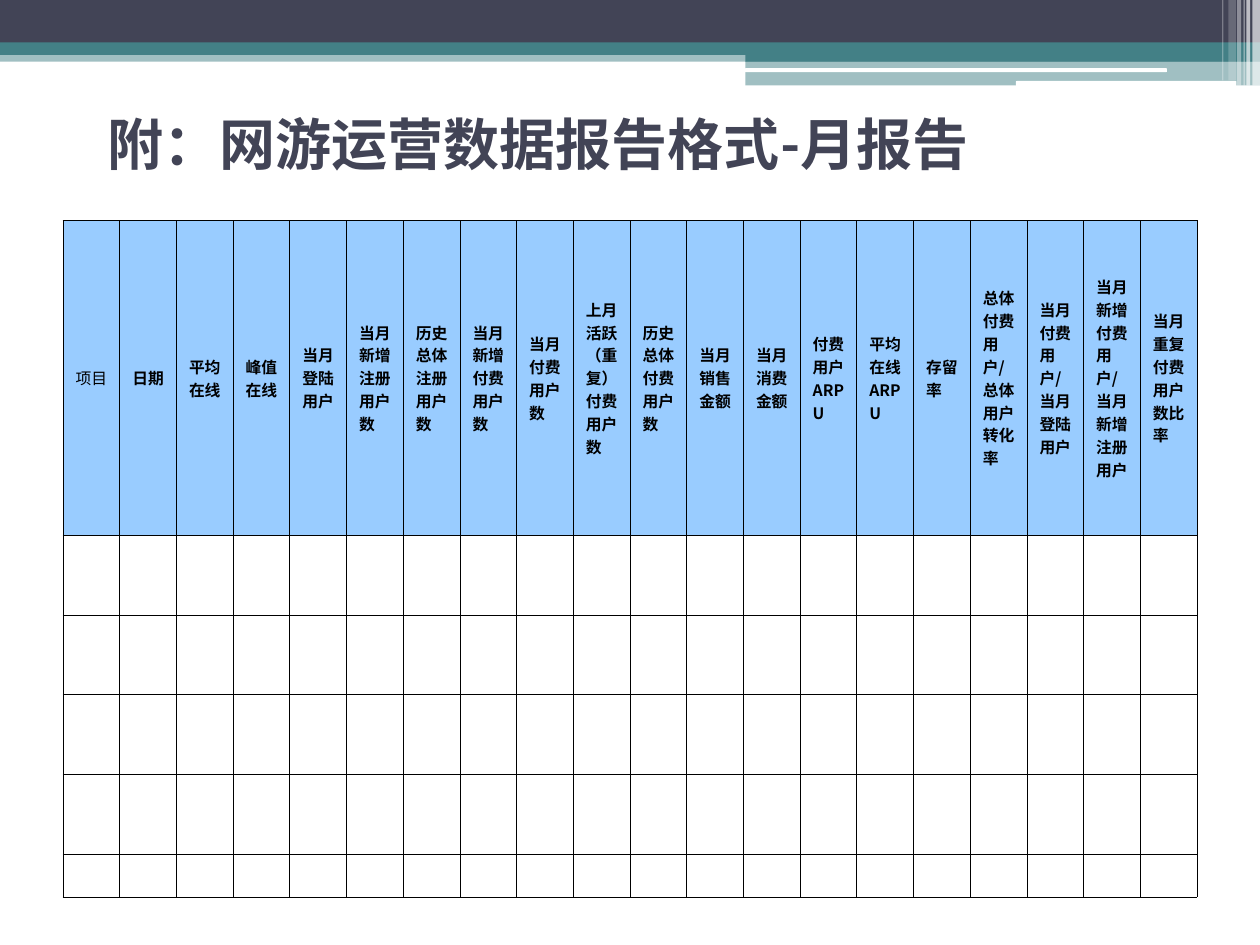
from lxml import etree
from pptx import Presentation
from pptx.dml.color import RGBColor
from pptx.enum.shapes import MSO_SHAPE
from pptx.enum.text import MSO_ANCHOR, PP_ALIGN
from pptx.oxml.ns import qn
from pptx.util import Pt

RECT, ROUND = MSO_SHAPE.RECTANGLE, MSO_SHAPE.ROUNDED_RECTANGLE
MIDDLE, LEFT = MSO_ANCHOR.MIDDLE, PP_ALIGN.LEFT
NAVY = RGBColor(0x42, 0x44, 0x56)
TEAL = RGBColor(0x43, 0x80, 0x86)
WHITE = RGBColor(0xFF, 0xFF, 0xFF)
BLACK = RGBColor(0, 0, 0)
SKY = RGBColor(0x99, 0xCC, 0xFF)
CJK = "Noto Sans CJK SC"

# Content
TITLE = "附：网游运营数据报告格式-月报告"
HEADERS = [
    "项目", "日期", "平均在线", "峰值在线", "当月登陆用户",
    "当月新增注册用户数", "历史总体注册用户数", "当月新增付费用户数",
    "当月付费用户数", "上月活跃（重复）付费用户数", "历史总体付费用户数",
    "当月销售金额", "当月消费金额", "付费用户ARPU", "平均在线ARPU", "存留率",
    "总体付费用户/总体用户转化率", "当月付费用户/当月登陆用户",
    "当月新增付费用户/当月新增注册用户", "当月重复付费用户数比率",
]
ROW_HEIGHTS = [180, 45.5, 45.5, 45.5, 45.5, 21.6]
COL_WIDTH = 32.4

# Banner: shape, left, top, width, height, colour, opacity in percent
BANNER = [
    (RECT, 0, 28.8, 720, 6.5, TEAL, 50),
    (RECT, 0, 0, 720, 24.5, NAVY, 100),
    (RECT, 0, 24.2, 720, 7.2, TEAL, 100),
    (RECT, 426, 28, 294, 7.2, TEAL, 100),
    (RECT, 426, 34.9, 294, 14, TEAL, 50),
    (ROUND, 425.6, 39, 241.2, 2.2, WHITE, 100),
    (ROUND, 580.5, 46.3, 126, 2.9, WHITE, 100),
]
# Vertical stripes: left, width, height, opacity in percent
STRIPES = [
    (715.6, 4.4, 49, 65), (712.2, 2.2, 49, 65), (710.6, 0.7, 49, 60),
    (707, 2.2, 49, 40), (702, 4.3, 46, 20), (698.4, 0.7, 46, 30),
]


def add_block(shapes, kind, left, top, width, height, color, opacity):
    sp = shapes.add_shape(kind, Pt(left), Pt(top), Pt(width), Pt(height))
    sp.shadow.inherit = False
    sp.line.fill.background()
    sp.fill.solid()
    sp.fill.fore_color.rgb = color
    if opacity < 100:
        clr = sp._element.spPr.find(qn("a:solidFill"))[0]
        etree.SubElement(clr, qn("a:alpha"), val=str(opacity * 1000))


def set_fonts(props, latin):
    for tag, face in (("a:latin", latin), ("a:ea", CJK)):
        etree.SubElement(props, qn(tag), typeface=face)


def write(tf, text, size, color=BLACK, bold=False, font=CJK):
    p = tf.paragraphs[0]
    p.alignment = LEFT
    r = p.add_run()
    r.text = text
    r.font.size, r.font.bold = Pt(size), bold
    r.font.color.rgb = color
    set_fonts(r._r.get_or_add_rPr(), font)


def add_borders(cell):
    tc_pr = cell._tc.get_or_add_tcPr()
    for side in ("a:lnL", "a:lnR", "a:lnT", "a:lnB"):
        ln = etree.SubElement(tc_pr, qn(side), w=str(Pt(0.45)))
        fill = etree.SubElement(ln, qn("a:solidFill"))
        etree.SubElement(fill, qn("a:srgbClr"), val=str(BLACK))


prs = Presentation()
prs.slide_width, prs.slide_height = Pt(720), Pt(540)
s = prs.slides.add_slide(prs.slide_layouts[5])

# Banner
for block in BANNER:
    add_block(s.shapes, *block)
for left, width, height, opacity in STRIPES:
    add_block(s.shapes, RECT, left, 0, width, height, WHITE, opacity)

# Title
title = s.shapes.title
title.left, title.top, title.width, title.height = Pt(54), Pt(24), Pt(612), Pt(115)
title.text_frame.vertical_anchor = MIDDLE
title.text_frame.word_wrap = True
write(title.text_frame, TITLE, 32, color=NAVY, bold=True, font="Lato")

# Report table
table = s.shapes.add_table(
    len(ROW_HEIGHTS), len(HEADERS), Pt(36), Pt(126),
    Pt(COL_WIDTH * len(HEADERS)), Pt(sum(ROW_HEIGHTS))).table
table.horz_banding = False
for col in table.columns:
    col.width = Pt(COL_WIDTH)
for row, height in zip(table.rows, ROW_HEIGHTS):
    row.height = Pt(height)
    for cell in row.cells:
        add_borders(cell)
        cell.fill.solid()
        cell.fill.fore_color.rgb = WHITE
        # Small type keeps the empty rows low
        end = etree.SubElement(cell.text_frame.paragraphs[0]._p,
                               qn("a:endParaRPr"), sz="1200")
        set_fonts(end, CJK)
for i, text in enumerate(HEADERS):
    cell = table.cell(0, i)
    cell.fill.fore_color.rgb = SKY
    cell.vertical_anchor = MIDDLE
    write(cell.text_frame, text, 9, bold=i > 0)

prs.save("out.pptx")
